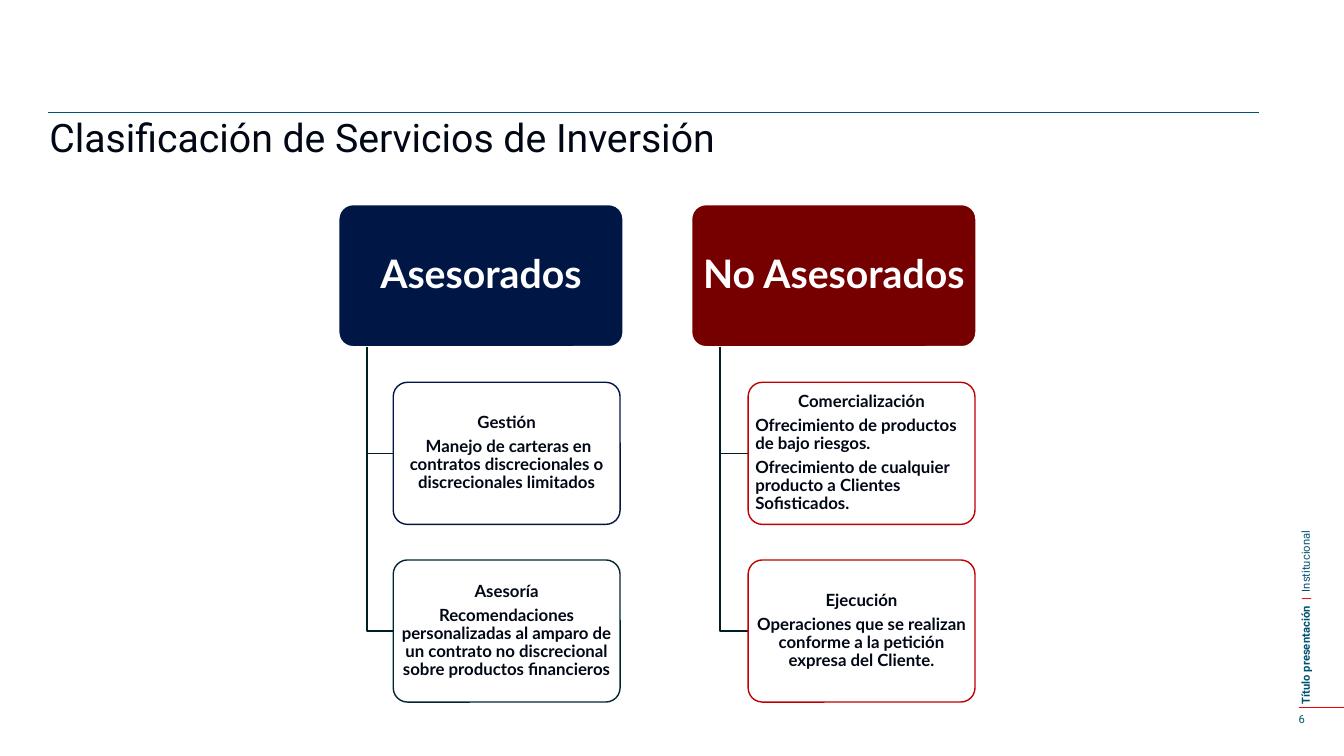
"""Build the slide that classifies investment services."""
import pptx
import pptx.dml.color
import pptx.enum.shapes
import pptx.enum.text
import pptx.oxml.ns
import pptx.util
from lxml import etree

Inches = pptx.util.Inches
Align = pptx.enum.text.PP_ALIGN
Anchor = pptx.enum.text.MSO_ANCHOR


class Theme:
    ink, white, teal, red = "000715", "FFFFFF", "005370", "EC0000"
    navy, wine, pine, ruby = "001746", "760000", "002630", "C00000"
    stem, rule = "001E26", "005471"
    body, head = "Lato", "Roboto"
    big, mid, small = 28, 12, 8


TITLE = "Clasificación de Servicios de Inversión"
PAGE = "6"
SIDE = [("Título presentación  ", Theme.teal, True),
        ("|  ", Theme.red, True),
        ("Institucional", Theme.teal, False)]
TREES = [
    {"name": "Asesorados", "fill": Theme.navy, "left": 3.36, "indent": 0.54,
     "cards": [
         ("Gestión", [" Manejo de carteras en contratos discrecionales o "
                      "discrecionales limitados"], Theme.navy, Align.CENTER),
         ("Asesoría", ["Recomendaciones personalizadas al amparo de un contrato "
                       "no discrecional sobre productos financieros"],
          Theme.pine, Align.CENTER)]},
    {"name": "No Asesorados", "fill": Theme.wine, "left": 6.86, "indent": 0.56,
     "cards": [
         ("Comercialización", ["Ofrecimiento de productos de bajo riesgos.",
                               "Ofrecimiento de cualquier producto a Clientes "
                               "Sofisticados."], Theme.ruby, Align.LEFT),
         ("Ejecución", ["Operaciones que se realizan conforme a la petición "
                        "expresa del Cliente."], Theme.ruby, Align.CENTER)]},
]
RULES = [(0.48, 12.49, 1.11, Theme.rule), (12.88, 13.33, 7.02, Theme.red)]
TOP, TALL, STEM = 2.03, 1.41, 0.28
STEP = TALL * 1.25
WIDE, SLIM = 2.82, 2.25


def color(code):
    """Turn a hex code into a colour."""
    return pptx.dml.color.RGBColor.from_string(code)


def write(frame, lines, font=Theme.body, size=Theme.mid, bold=False,
          anchor=Anchor.TOP, pad=(0, 0), lead=None, after=0):
    """Fill a frame with (runs, alignment) lines; a run is (text, colour[, bold])."""
    frame.word_wrap = True
    frame.auto_size = pptx.enum.text.MSO_AUTO_SIZE.NONE
    frame.vertical_anchor = anchor
    frame.margin_left = frame.margin_right = Inches(pad[0])
    frame.margin_top = frame.margin_bottom = Inches(pad[1])
    for i, (runs, align) in enumerate(lines):
        para = frame.add_paragraph() if i else frame.paragraphs[0]
        para.alignment, para.line_spacing = align, lead
        para.space_before = pptx.util.Pt(0)
        para.space_after = pptx.util.Pt(after)
        for text, tint, *own in runs:
            run = para.add_run()
            run.text = text
            run.font.name, run.font.size = font, pptx.util.Pt(size)
            run.font.bold = own[0] if own else bold
            run.font.color.rgb = color(tint)


def stroke(line, tint, width=1):
    """Set the colour and width of a line."""
    line.color.rgb = color(tint)
    line.width = pptx.util.Pt(width)


def card(slide, box, fill, edge, lines, size, pad):
    """Add a rounded box with centred bold text."""
    kind = pptx.enum.shapes.MSO_SHAPE.ROUNDED_RECTANGLE
    shape = slide.shapes.add_shape(kind, *map(Inches, box))
    shape.adjustments[0] = 0.1
    shape.shadow.inherit = False
    shape.fill.solid()
    shape.fill.fore_color.rgb = color(fill)
    stroke(shape.line, edge)
    write(shape.text_frame, lines, size=size, bold=True, anchor=Anchor.MIDDLE,
          pad=pad, lead=0.9, after=0.35 * size)


def elbow(slide, *spots):
    """Add a stem that drops and then turns right."""
    start, *rest = [tuple(map(Inches, spot)) for spot in spots]
    path = slide.shapes.build_freeform(*start)
    path.add_line_segments(rest, close=False)
    shape = path.convert_to_shape()
    shape.shadow.inherit = False
    shape.fill.background()
    stroke(shape.line, Theme.stem)


def tree(slide, data):
    """Add a heading with its stems and cards."""
    left = data["left"]
    card(slide, (left, TOP, WIDE, TALL), data["fill"], Theme.white,
         [([(data["name"], Theme.white)], Align.CENTER)], Theme.big, (0.04, 0.04))
    stem, inner = left + STEM, left + data["indent"]
    for i, (name, notes, edge, align) in enumerate(data["cards"], 1):
        top = TOP + i * STEP
        low = top + TALL / 2
        elbow(slide, (stem, TOP + TALL), (stem, low), (inner, low))
        lines = [([(name, Theme.ink)], Align.CENTER)]
        lines += [([(note, Theme.ink)], align) for note in notes]
        card(slide, (inner, top, SLIM, TALL), Theme.white, edge, lines,
             Theme.mid, (0.03, 0.02))


def rule(slide, start, end, top, tint):
    """Add a thin level line."""
    kind = pptx.enum.shapes.MSO_CONNECTOR.STRAIGHT
    line = slide.shapes.add_connector(kind, *map(Inches, (start, top, end, top)))
    stroke(line.line, tint, 0.5)
    etree.SubElement(line._element.spPr, pptx.oxml.ns.qn("a:effectLst"))


def label(slide, box, runs):
    """Add a small text box and return its frame."""
    frame = slide.shapes.add_textbox(*map(Inches, box)).text_frame
    write(frame, [(runs, Align.LEFT)], font=Theme.head, size=Theme.small)
    return frame


def main():
    """Build and save the slide."""
    deck = pptx.Presentation()
    deck.slide_width, deck.slide_height = Inches(13.33), Inches(7.5)
    slide = deck.slides.add_slide(deck.slide_layouts[5])
    title = slide.shapes.title
    title.left, title.top, title.width, title.height = map(
        Inches, (0.49, 1.18, 12.29, 0.72))
    write(title.text_frame, [([(TITLE, Theme.ink)], Align.LEFT)],
          font=Theme.head, size=Theme.big, lead=0.9)
    for item in RULES:
        rule(slide, *item)
    side = label(slide, (12.88, 1.29, 0.13, 5.7), SIDE)
    side._txBody.bodyPr.set("vert", "vert270")
    label(slide, (12.88, 7.07, 0.39, 0.13), [(PAGE, Theme.teal)])
    for data in TREES:
        tree(slide, data)
    deck.save("out.pptx")


if __name__ == "__main__":
    main()
